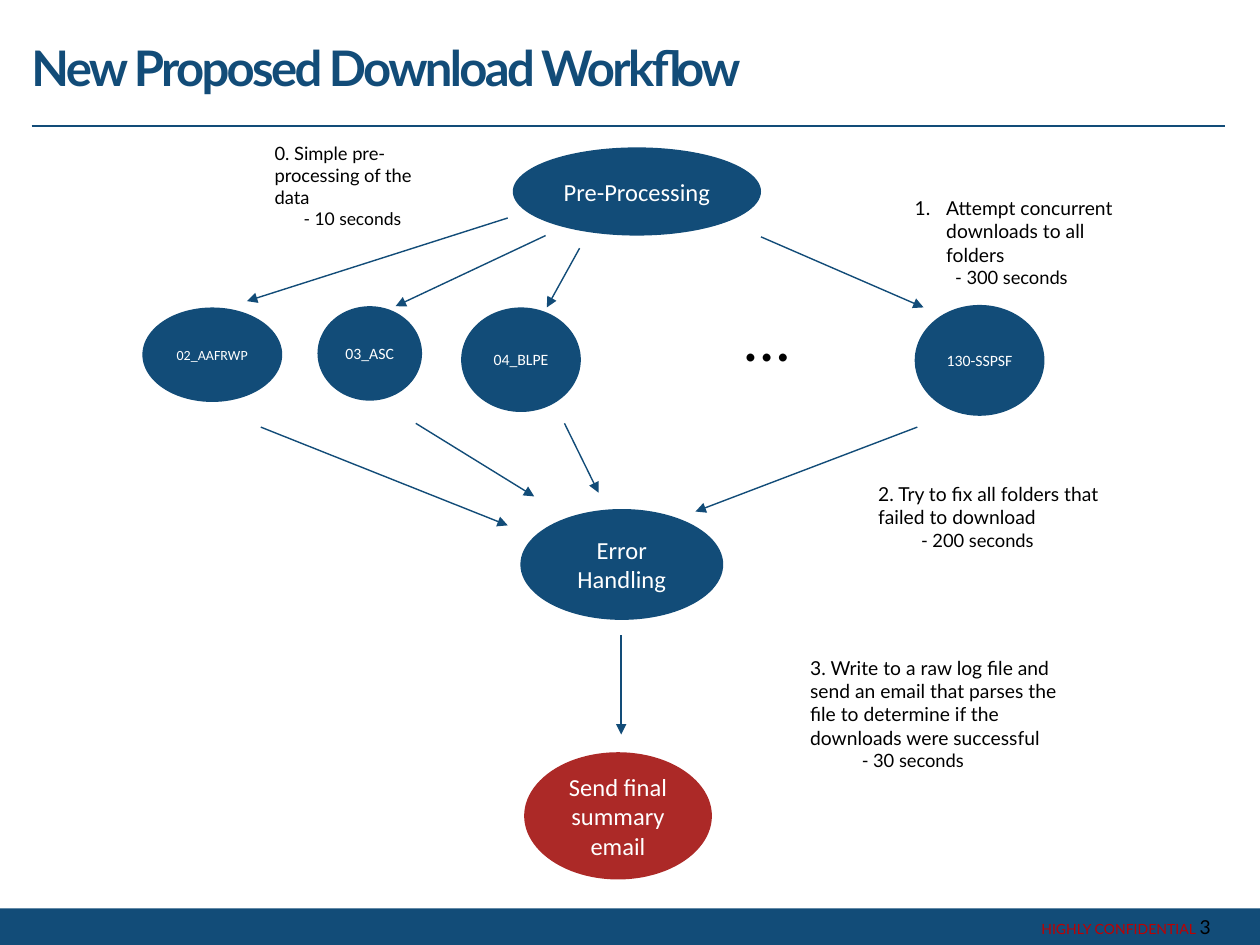
import dataclasses

import lxml.etree
import pptx
import pptx.dml.color
import pptx.enum.shapes
import pptx.enum.text
import pptx.oxml.ns
import pptx.util

Inches = pptx.util.Inches
Align = pptx.enum.text.PP_ALIGN
Anchor = pptx.enum.text.MSO_ANCHOR
Shape = pptx.enum.shapes.MSO_SHAPE


@dataclasses.dataclass
class Theme:
    """Colours, fonts and type sizes."""
    blue: str = "124C78"
    red: str = "AC2927"
    alert: str = "C00000"
    black: str = "000000"
    white: str = "FFFFFF"
    head: str = "Lato"
    body: str = "Calibri"
    title: float = 28
    dots: float = 36
    node: float = 14
    note: float = 11
    small: float = 8


class Deck:
    """Style and current slide, with a method for each kind of element."""

    def __init__(self, theme):
        self.theme = theme
        self.file = pptx.Presentation()
        self.file.slide_width, self.file.slide_height = Inches(10), Inches(7.5)
        self.slide = self.file.slides.add_slide(self.file.slide_layouts[6])

    def tint(self, code):
        return pptx.dml.color.RGBColor.from_string(code)

    def style(self, font, size, color, face=None, bold=False):
        font.name = face or self.theme.head
        font.size = pptx.util.Pt(size)
        font.color.rgb = self.tint(color)
        font.bold = bold

    def add(self, parent, tag, **attrs):
        name = pptx.oxml.ns.qn(tag)
        return lxml.etree.SubElement(parent, name, attrs)

    def box(self, place, anchor=Anchor.TOP):
        frame = self.slide.shapes.add_textbox(*map(Inches, place)).text_frame
        frame.word_wrap = True
        frame.vertical_anchor = anchor
        frame.margin_left = frame.margin_right = 0
        frame.margin_top = frame.margin_bottom = 0
        return frame

    def form(self, kind, place, fill):
        shape = self.slide.shapes.add_shape(kind, *map(Inches, place))
        shape.shadow.inherit = False
        shape.fill.solid()
        shape.fill.fore_color.rgb = self.tint(fill)
        shape.line.fill.background()
        return shape

    def node(self, text, place, size, kind=Shape.OVAL, fill=None):
        shape = self.form(kind, place, fill or self.theme.blue)
        frame = shape.text_frame
        frame.word_wrap = True
        frame.vertical_anchor = Anchor.MIDDLE
        frame.margin_left = frame.margin_right = Inches(0.08)
        para = frame.paragraphs[0]
        para.text = text
        para.alignment = Align.CENTER
        self.style(para.font, size, self.theme.white, self.theme.body)

    def line(self, start, end, width, arrow=True):
        kind = pptx.enum.shapes.MSO_CONNECTOR.STRAIGHT
        line = self.slide.shapes.add_connector(kind, *map(Inches, start + end))
        line.line.color.rgb = self.tint(self.theme.blue)
        line.line.width = pptx.util.Pt(width)
        if arrow:
            self.add(line.line._get_or_add_ln(), "a:tailEnd", type="triangle")
        self.add(line._element.spPr, "a:effectLst")

    def label(self, text, place, size, color, bold=False, space=0, anchor=Anchor.TOP):
        para = self.box(place, anchor).paragraphs[0]
        run = para.add_run()
        run.text = text
        if space:
            run._r.get_or_add_rPr().set("spc", str(space))
        self.style(para.font, size, color, bold=bold)

    def note(self, text, time, place, size, indent, count=False):
        frame = self.box(place)
        first, last = frame.paragraphs[0], frame.add_paragraph()
        first.text, last.text = text, time
        if count:
            props = first._p.get_or_add_pPr()
            props.set("marL", str(Inches(0.25)))
            props.set("indent", str(-Inches(0.25)))
            self.add(props, "a:buFont", typeface="+mj-lt")
            self.add(props, "a:buAutoNum", type="arabicPeriod")
        last._p.get_or_add_pPr().set("marL", str(Inches(indent)))
        self.style(first.font, size, self.theme.black)
        self.style(last.font, size - 0.5, self.theme.black)

    def foot(self, text, page, place):
        para = self.box(place, Anchor.MIDDLE).paragraphs[0]
        para.alignment = Align.RIGHT
        looks = ((text, self.theme.small, self.theme.alert),
                 (page, self.theme.note, self.theme.black))
        for words, size, color in looks:
            run = para.add_run()
            run.text = words
            self.style(run.font, size, color)


def main():
    """Build the workflow slide."""
    theme = Theme()
    deck = Deck(theme)

    deck.form(Shape.RECTANGLE, (0, 7.21, 10, 0.29), theme.blue)
    deck.line((0.25, 1), (9.72, 1), 1, arrow=False)
    deck.label("New Proposed Download Workflow", (0.25, 0.1, 9.46, 0.86),
               theme.title, theme.blue, True, -150, Anchor.MIDDLE)
    deck.foot("HIGHLY CONFIDENTIAL ", "3", (7.48, 7.21, 2.13, 0.29))

    deck.node("Pre-Processing", (4.07, 1.17, 1.97, 0.7), theme.node)
    folders = (
        ("02_AAFRWP", (1.13, 2.44, 1.11, 0.75), 8),
        ("03_ASC", (2.52, 2.43, 0.83, 0.75), 9),
        ("04_BLPE", (3.66, 2.44, 0.95, 0.83), 9),
        ("130-SSPSF", (7.26, 2.42, 1.03, 0.88), 9),
    )
    for name, place, size in folders:
        deck.node(name, place, size)
    deck.label("…", (5.9, 2.37, 0.4, 0.4), theme.dots, theme.black)
    joint = Shape.FLOWCHART_CONNECTOR
    deck.node("Error Handling", (4.13, 4.04, 1.61, 0.88), theme.node, joint)
    deck.node("Send final summary email", (4.16, 5.97, 1.49, 1.01),
              theme.node, joint, theme.red)

    arrows = (
        ((4.03, 1.73), (1.96, 2.39)),
        ((4.33, 1.87), (3.14, 2.43)),
        ((4.6, 1.97), (4.34, 2.44)),
        ((6.04, 1.88), (7.33, 2.44)),
        ((2.07, 3.39), (4.03, 4.17)),
        ((3.3, 3.36), (4.24, 3.94)),
        ((4.48, 3.36), (4.75, 3.91)),
        ((7.28, 3.39), (5.52, 4.06)),
        ((4.93, 5.04), (4.93, 5.83)),
    )
    for start, end in arrows:
        deck.line(start, end, 0.79)

    deck.note("0. Simple pre-processing of the data", "- 10 seconds",
              (2.18, 1.13, 1.39, 0.81), 10.5, 0.23)
    deck.note("Attempt concurrent downloads to all folders", "- 300 seconds",
              (7.26, 1.56, 1.75, 0.75), theme.note, 0.32, count=True)
    deck.note("2. Try to fix all folders that failed to download", "- 200 seconds",
              (6.97, 3.83, 1.87, 0.64), theme.note, 0.34)
    deck.note("3. Write to a raw log file and send an email that parses the file "
              "to determine if the downloads were successful", "- 30 seconds",
              (6.43, 5.21, 2, 0.99), theme.note, 0.41)

    deck.file.save("out.pptx")


if __name__ == "__main__":
    main()
